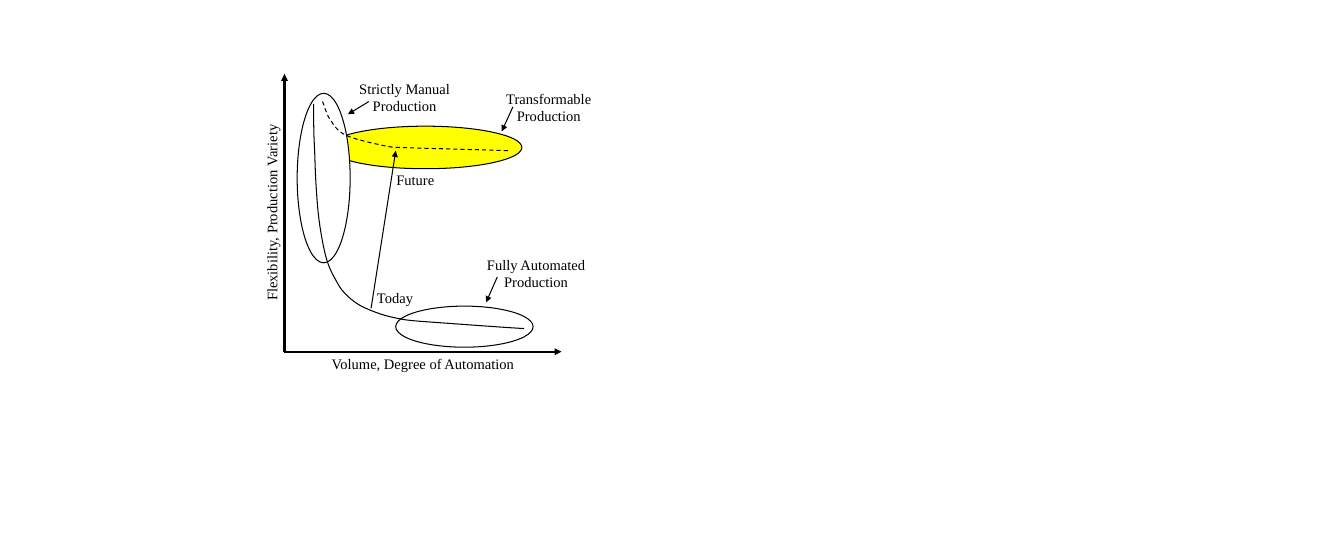
from lxml.etree import SubElement
from pptx import Presentation
from pptx.dml.color import RGBColor
from pptx.enum.dml import MSO_LINE
from pptx.enum.shapes import MSO_CONNECTOR, MSO_SHAPE
from pptx.enum.text import MSO_AUTO_SIZE, PP_ALIGN
from pptx.oxml.ns import qn
from pptx.util import Pt

PX = 9144


def ink(fill, tone):
    fill.solid()
    fill.fore_color.rgb = RGBColor.from_string(tone)


deck = Presentation()
deck.slide_width = 1800 * PX
deck.slide_height = 750 * PX
slide = deck.slides.add_slide(deck.slide_layouts[6])

labels = [
    ("Transformable Production", 650, 115, 170, 57, 0, PP_ALIGN.CENTER),
    ("Future", 521, 224, 73, 34, 0, PP_ALIGN.LEFT),
    ("Today", 495, 382, 73, 34, 0, PP_ALIGN.LEFT),
    ("Fully Automated Production", 633, 338, 170, 57, 0, PP_ALIGN.CENTER),
    ("Strictly Manual Production", 457, 102, 170, 57, 0, PP_ALIGN.CENTER),
    ("Volume, Degree of Automation", 381, 471, 371, 34, 0, PP_ALIGN.CENTER),
    ("Flexibility, Production Variety", 178, 268, 372, 34, 270, PP_ALIGN.CENTER),
]
shapes = slide.shapes
for text, left, top, width, height, turn, align in labels:
    box = shapes.add_textbox(left * PX, top * PX, width * PX, height * PX)
    box.rotation = turn
    frame = box.text_frame
    frame.word_wrap = True
    frame.auto_size = MSO_AUTO_SIZE.SHAPE_TO_FIT_TEXT
    para = frame.paragraphs[0]
    para.alignment = align
    run = para.add_run()
    run.text = text
    run.font.name = "Times New Roman"
    run.font.size = Pt(14)
    ink(run.font.fill, "000000")
    if shapes is slide.shapes:
        shapes = slide.shapes.add_group_shape().shapes

ovals = [
    (440, 169, 259, 57, "FFFF00"),
    (530, 410, 184, 55, None),
    (398, 125, 71, 227, "FFFFFF"),
]
for left, top, width, height, tone in ovals:
    oval = shapes.add_shape(MSO_SHAPE.OVAL, left * PX, top * PX, width * PX, height * PX)
    oval.shadow.inherit = False
    if tone:
        ink(oval.fill, tone)
    else:
        oval.fill.background()
    ink(oval.line.fill, "000000")
    oval.line.width = Pt(1)

arrows = [
    (381, 471, 381, 99, 2.25),
    (381, 471, 752, 471, 2.25),
    (497, 413, 530, 202, 1),
    (666, 371, 651, 405, 1),
    (687, 143, 672, 176, 1),
    (494, 136, 466, 153, 1),
]
for x1, y1, x2, y2, width in arrows:
    arrow = shapes.add_connector(MSO_CONNECTOR.STRAIGHT, x1 * PX, y1 * PX, x2 * PX, y2 * PX)
    ink(arrow.line.fill, "000000")
    arrow.line.width = Pt(width)
    SubElement(arrow.line._get_or_add_ln(), qn("a:tailEnd"), type="triangle")
    SubElement(arrow._element.spPr, qn("a:effectLst"))

today = [(420, 139), (421, 194), (423, 243), (427, 292), (435, 338), (447, 370),
         (462, 393), (488, 412), (526, 425), (572, 431), (702, 440)]
future = [(432, 136), (442, 160), (461, 180), (509, 194), (547, 198), (682, 202)]
for knots, dash in [(today, None), (future, MSO_LINE.DASH)]:
    path = shapes.build_freeform(*knots[0], scale=PX)
    path.add_line_segments(knots[1:], close=False)
    curve = path.convert_to_shape()
    curve.shadow.inherit = False
    curve.fill.background()
    ink(curve.line.fill, "000000")
    curve.line.width = Pt(1)
    if dash:
        curve.line.dash_style = dash
    left, top = knots[0]
    ends = [knots[0], *knots, knots[-1]]
    parts = list(curve._element.iter(qn("a:lnTo")))
    for part, a, b, c, d in zip(parts, ends, ends[1:], ends[2:], ends[3:]):
        bend = part.makeelement(qn("a:cubicBezTo"))
        pull = [q + (r - p) / 6 for p, q, r in zip(a, b, c)]
        push = [r - (s - q) / 6 for q, r, s in zip(b, c, d)]
        for x, y in (pull, push, c):
            SubElement(bend, qn("a:pt"), x=str(round(x - left)), y=str(round(y - top)))
        part.getparent().replace(part, bend)

deck.save("out.pptx")
